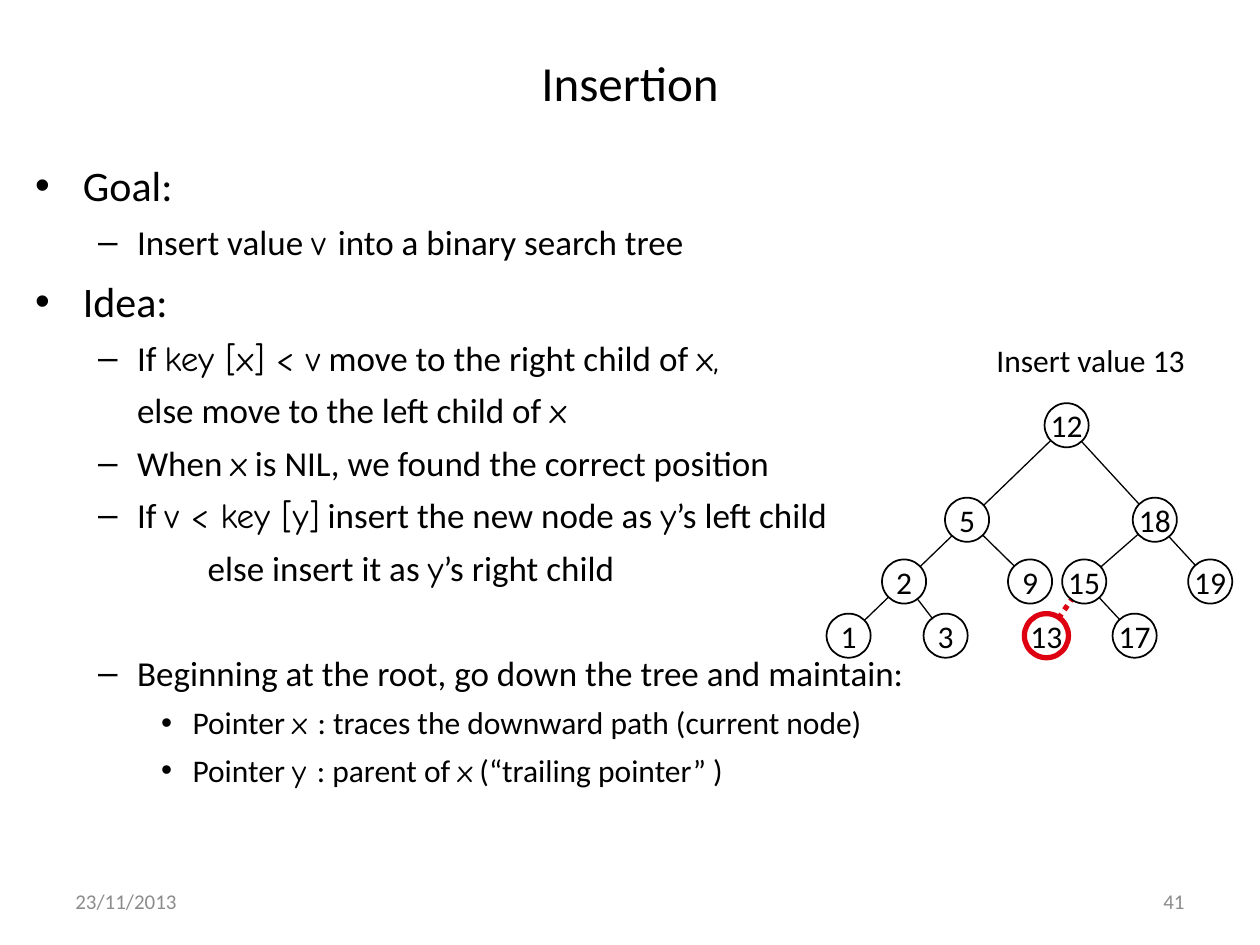
from lxml import etree
from pptx import Presentation
from pptx import util as u
from pptx.dml.color import RGBColor
from pptx.enum import dml, shapes, text
from pptx.oxml import ns

COLUMNS, ROWS = 20, 15
BLACK, WHITE, GREY, RED = "000000", "FFFFFF", "8C8C8C", "DD0111"
SANS, CODE = "Calibri", "Comic Neue"


def colour(value):
    return RGBColor.from_string(value)


class Deck:
    def __init__(self):
        self.prs = Presentation()
        self.prs.slide_width, self.prs.slide_height = u.Inches(10), u.Inches(7.5)
        self.slide = self.prs.slides.add_slide(self.prs.slide_layouts[6])

    def x(self, columns):
        return round(self.prs.slide_width * columns / COLUMNS)

    def y(self, rows):
        return round(self.prs.slide_height * rows / ROWS)

    def run(self, paragraph, words, size, ink=BLACK, font=SANS):
        run = paragraph.add_run()
        run.text = words
        run.font.size, run.font.name = u.Pt(size), font
        run.font.color.rgb = colour(ink)

    def box(self, left, top, width, height, anchor=text.MSO_ANCHOR.MIDDLE):
        frame = self.slide.shapes.add_textbox(
            self.x(left), self.y(top), self.x(width), self.y(height)).text_frame
        frame.word_wrap, frame.vertical_anchor = True, anchor
        return frame

    def label(self, place, words, size, ink=BLACK, align=text.PP_ALIGN.LEFT):
        paragraph = self.box(*place).paragraphs[0]
        paragraph.alignment = align
        self.run(paragraph, words, size, ink)

    def outline(self, place, items):
        """Each item: bullet, margin, hanging indent, size, space before, runs.

        Runs alternate between body font and code font.
        """
        frame = self.box(*place, anchor=text.MSO_ANCHOR.TOP)
        for i, (bullet, margin, hang, size, gap, runs) in enumerate(items):
            paragraph = frame.add_paragraph() if i else frame.paragraphs[0]
            props = paragraph._p.get_or_add_pPr()
            props.set("marL", str(self.x(margin)))
            props.set("indent", str(-self.x(hang)))
            if bullet:
                etree.SubElement(props, ns.qn("a:buFont"), typeface="Arial")
                etree.SubElement(props, ns.qn("a:buChar"), char=bullet)
            else:
                etree.SubElement(props, ns.qn("a:buNone"))
            paragraph.line_spacing = 1.1
            paragraph.space_before = u.Pt(gap)
            for k, words in enumerate(runs):
                self.run(paragraph, words, size, font=CODE if k % 2 else SANS)

    def branch(self, start, end, ink=BLACK, weight=0.75, dash=None):
        line = self.slide.shapes.add_connector(
            shapes.MSO_CONNECTOR.STRAIGHT,
            self.x(start[0]), self.y(start[1]), self.x(end[0]), self.y(end[1]))
        line.line.color.rgb = colour(ink)
        line.line.width = u.Pt(weight)
        if dash:
            line.line.dash_style = dash
        etree.SubElement(line._element.spPr, ns.qn("a:effectLst"))

    def node(self, key, centre, ink=BLACK, weight=1, size=0.7):
        circle = self.slide.shapes.add_shape(
            shapes.MSO_SHAPE.OVAL, self.x(centre[0] - size / 2),
            self.y(centre[1] - size / 2), self.x(size), self.y(size))
        circle.shadow.inherit = False
        circle.fill.solid()
        circle.fill.fore_color.rgb = colour(WHITE)
        circle.line.color.rgb = colour(ink)
        circle.line.width = u.Pt(weight)
        frame = circle.text_frame
        frame.word_wrap, frame.vertical_anchor = False, text.MSO_ANCHOR.MIDDLE
        frame.margin_left = frame.margin_right = 0
        frame.margin_top = frame.margin_bottom = 0
        frame.paragraphs[0].alignment = text.PP_ALIGN.CENTER
        self.run(frame.paragraphs[0], str(key), 18)


def topic(words):
    return "•", 0.76, 0.76, 24, 4.3, [words]


def point(*runs, bullet="–", margin=1.62, gap=3.6):
    return bullet, margin, 0.62 if bullet else 0, 20, gap, runs


def detail(*runs):
    return "•", 2.5, 0.5, 18, 3.3, runs


IDEAS = [
    topic("Goal:"),
    point("Insert value ", "v ", "into a binary search tree"),
    topic("Idea:"),
    point("If ", "key [x] < v", " move to the right child of ", "x,"),
    point("else move to the left child of ", "x", bullet=None),
    point("When ", "x", " is NIL, we found the correct position"),
    point("If ", "v < key [y]", " insert the new node as ", "y", "’s left child"),
    point("else insert it as ", "y", "’s right child", bullet=None, margin=2.74),
    point("Beginning at the root, go down the tree and maintain:", gap=34),
    detail("Pointer ", "x ", ": traces the downward path (current node)"),
    detail("Pointer ", "y ", ": parent of ", "x", " (“trailing pointer” )"),
]

# Tree levels: row of the level, then the column of each key
LEVELS = [
    (6.75, {12: 16.93}),
    (8.25, {5: 15.35, 18: 18.33}),
    (9.23, {2: 14.35, 9: 16.35, 15: 17.21, 19: 19.21}),
    (10.09, {1: 13.47, 3: 15.01, 13: 16.61, 17: 18.01}),
]
CENTRES = {key: (col, row) for row, level in LEVELS for key, col in level.items()}
# The two outer branches run straight through the nodes between their ends
BRANCHES = [(15, 17), (15, 18), (2, 3), (5, 9), (12, 19), (12, 1)]
NEW_KEY, PARENT = 13, 15


def main():
    deck = Deck()

    # Title and footer
    deck.label((1, 0.6, 18, 1.4), "Insertion", 28, align=text.PP_ALIGN.CENTER)
    deck.label((1, 13.9, 4.66, 0.8), "23/11/2013", 12, GREY)
    deck.label((14.34, 13.9, 4.66, 0.8), "41", 12, GREY, text.PP_ALIGN.RIGHT)

    # Goal and idea
    deck.outline((0.36, 2.36, 15.08, 12.02), IDEAS)

    # Inserted node
    deck.branch(CENTRES[NEW_KEY], CENTRES[PARENT], RED, 3, dml.MSO_LINE.ROUND_DOT)
    deck.node(NEW_KEY, CENTRES[NEW_KEY], RED, 3)

    # Existing tree
    for start, end in BRANCHES:
        deck.branch(CENTRES[start], CENTRES[end])
    for key, centre in CENTRES.items():
        if key != NEW_KEY:
            deck.node(key, centre)
    deck.label((15.62, 5.32, 3.68, 0.8), "Insert value 13", 18)

    deck.prs.save("out.pptx")


if __name__ == "__main__":
    main()
